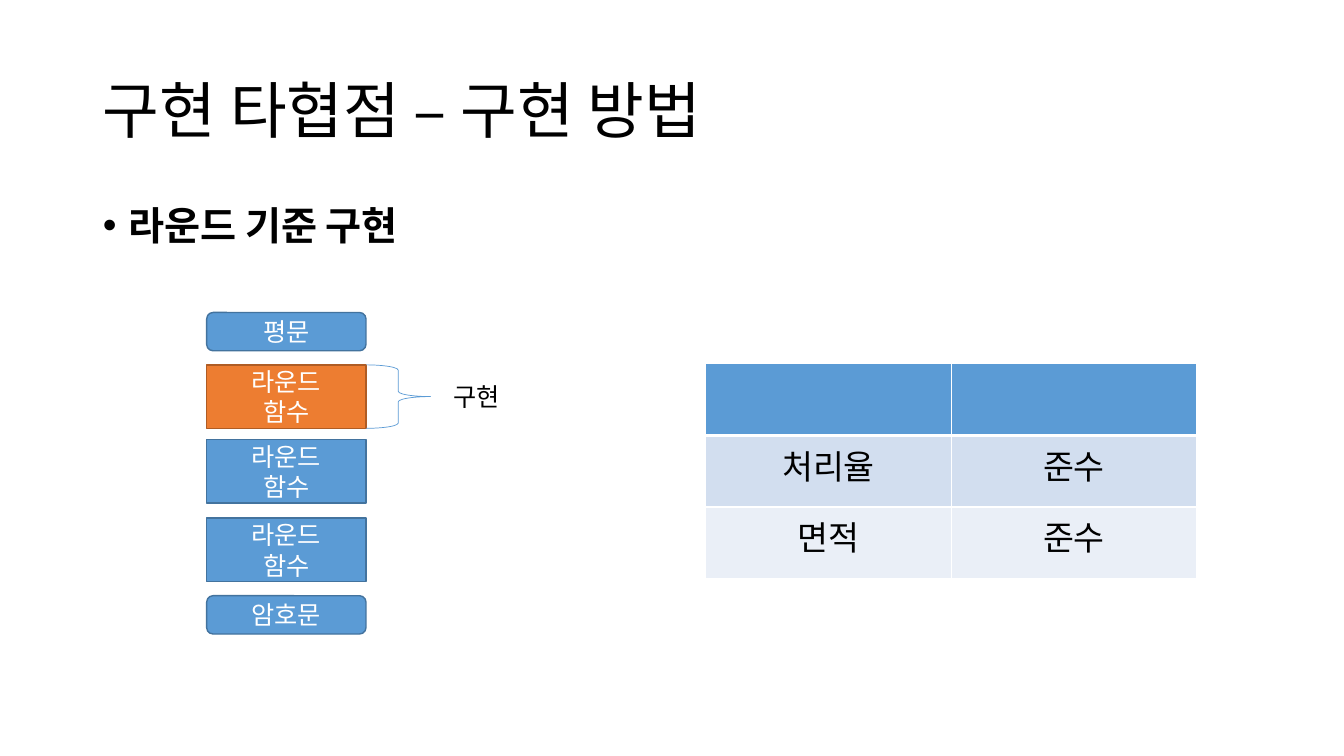
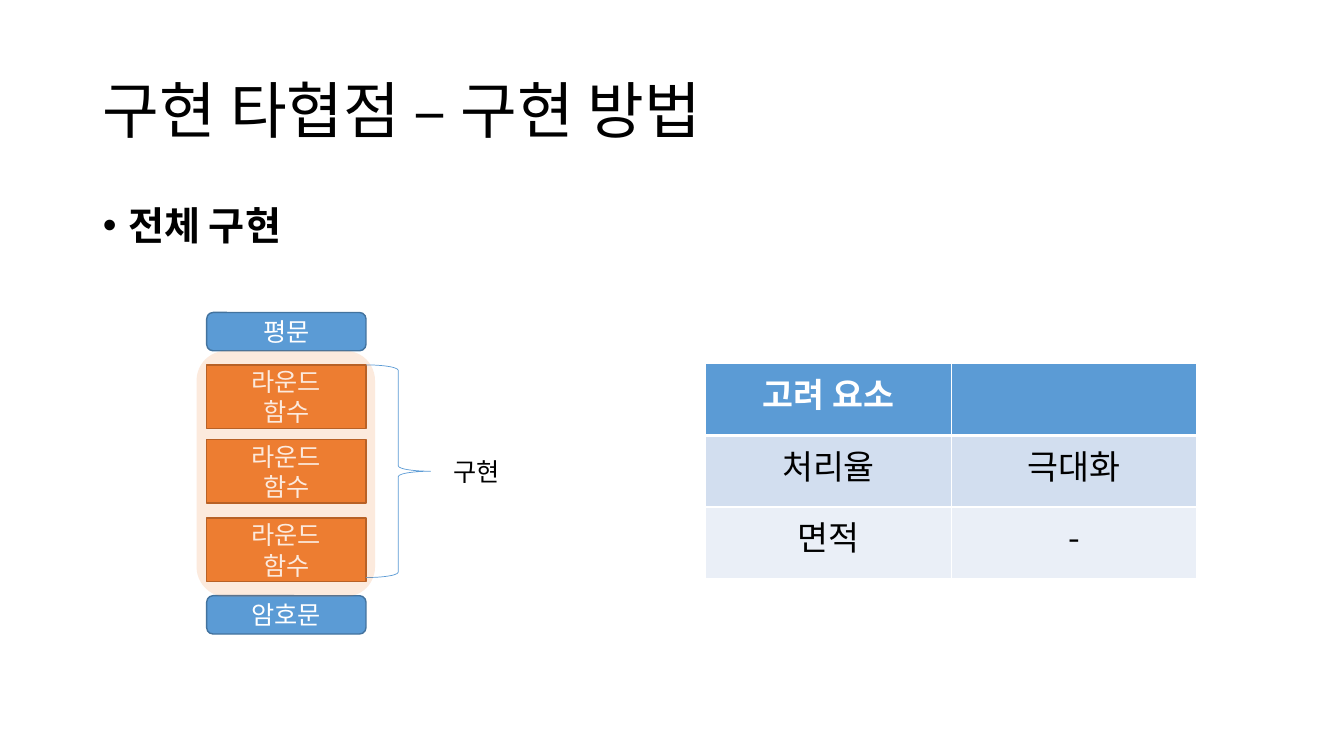
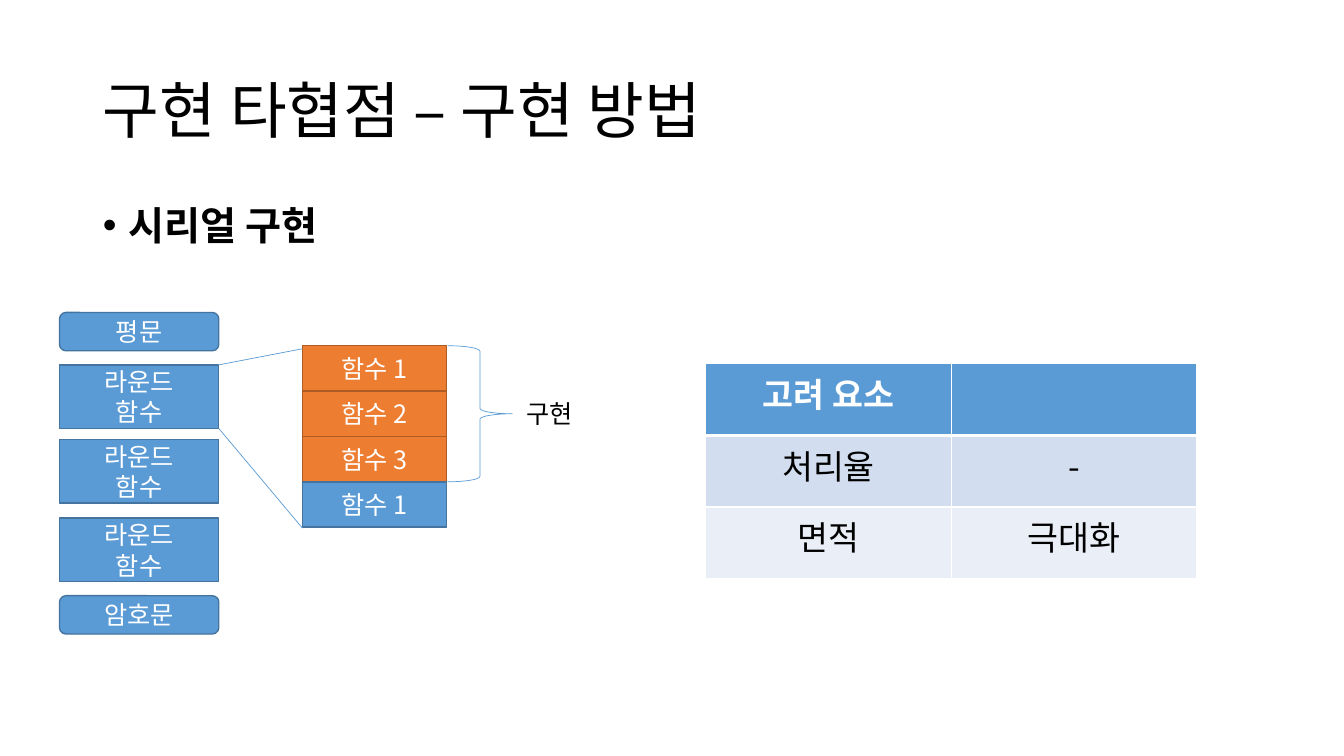
from dataclasses import dataclass

import pptx
import pptx.dml.color
import pptx.enum.shapes
import pptx.enum.text
import pptx.oxml.ns
import pptx.presentation
import pptx.shapes.autoshape
import pptx.slide
import pptx.table
import pptx.text.text
import pptx.util
from lxml import etree
from pptx.dml.color import RGBColor
from pptx.enum.shapes import MSO_SHAPE
from pptx.enum.text import MSO_ANCHOR, MSO_AUTO_SIZE, PP_ALIGN
from pptx.oxml.ns import qn
from pptx.util import Inches

# Shared style
FONT = "Noto Sans CJK KR"
BLACK = RGBColor(0x00, 0x00, 0x00)
WHITE = RGBColor(0xFF, 0xFF, 0xFF)
BLUE = RGBColor(0x5B, 0x9B, 0xD5)
BLUE_EDGE = RGBColor(0x43, 0x73, 0x9E)
ORANGE = RGBColor(0xED, 0x7D, 0x31)
ORANGE_EDGE = RGBColor(0xAF, 0x5C, 0x24)
ROW_FILLS = (BLUE, RGBColor(0xD2, 0xDE, 0xEF), RGBColor(0xEA, 0xEF, 0xF7))

TITLE = "구현 타협점 – 구현 방법"

# Cipher column, in inches
STEP_WIDTH = 1.58
END_HEIGHT = 0.38
PLAINTEXT_TOP = 3.1
CIPHERTEXT_TOP = 5.91
ROUND_TOPS = (3.62, 4.36, 5.14)
ROUND_HEIGHT = 0.63

# Functions inside one round, in inches
FUNCTIONS = ("함수 1", "함수 2", "함수 3", "함수 1")
FUNCTION_LEFT = 3.0
FUNCTION_TOP = 3.43
FUNCTION_WIDTH = 1.43
FUNCTION_HEIGHT = 0.45
IMPLEMENTED_FUNCTIONS = 3

BRACE_WIDTH = 0.64
LABEL_HEIGHT = 0.4


@dataclass(frozen=True)
class Box:
    left: float
    top: float
    width: float
    height: float

    def lengths(self) -> tuple[pptx.util.Length, ...]:
        return tuple(Inches(n) for n in (self.left, self.top, self.width, self.height))


@dataclass(frozen=True)
class Method:
    """One way to implement the cipher, shown on one slide."""
    name: str
    cipher_left: float
    implemented_rounds: int
    brace: Box
    label_left: float
    rows: tuple[tuple[str, str], ...]
    halo: Box | None = None
    shows_functions: bool = False


METHODS = (
    Method("라운드 기준 구현", 2.05, 1, Box(3.63, 3.62, BRACE_WIDTH, ROUND_HEIGHT), 4.4,
           (("", ""), ("처리율", "준수"), ("면적", "준수"))),
    Method("전체 구현", 2.05, 3, Box(3.63, 3.62, BRACE_WIDTH, 2.11), 4.4,
           (("고려 요소", ""), ("처리율", "극대화"), ("면적", "-")),
           halo=Box(1.95, 3.48, 1.77, 2.44)),
    Method("시리얼 구현", 0.59, 0,
           Box(4.44, FUNCTION_TOP, BRACE_WIDTH, IMPLEMENTED_FUNCTIONS * FUNCTION_HEIGHT), 5.12,
           (("고려 요소", ""), ("처리율", "-"), ("면적", "극대화")),
           shows_functions=True),
)


def style_paragraph(paragraph: pptx.text.text._Paragraph, size: float, color: RGBColor,
                    align: PP_ALIGN = PP_ALIGN.LEFT, bold: bool = False) -> None:
    paragraph.alignment = align
    font = paragraph.font
    font.size = pptx.util.Pt(size)
    font.bold = bold
    font.color.rgb = color
    font.name = FONT
    # Korean text takes the East Asian typeface
    defaults = paragraph._p.get_or_add_pPr().find(qn("a:defRPr"))
    etree.SubElement(defaults, qn("a:ea"), typeface=FONT)


def add_heading(slide: pptx.slide.Slide, method_name: str) -> None:
    title, body = slide.placeholders
    for holder, box, text in ((title, Box(0.92, 0.4, 11.5, 1.45), TITLE),
                              (body, Box(0.92, 2, 11.5, 4.76), method_name)):
        holder.left, holder.top, holder.width, holder.height = box.lengths()
        holder.text_frame.text = text
        holder.text_frame.auto_size = MSO_AUTO_SIZE.NONE
        paragraph = holder.text_frame.paragraphs[0]
        paragraph.line_spacing = 0.9
        paragraph.space_before = pptx.util.Pt(0)
    title.text_frame.vertical_anchor = MSO_ANCHOR.MIDDLE
    style_paragraph(title.text_frame.paragraphs[0], 44, BLACK)

    topic = body.text_frame.paragraphs[0]
    properties = topic._p.get_or_add_pPr()
    properties.set("marL", str(Inches(0.25)))
    properties.set("indent", str(-Inches(0.25)))
    etree.SubElement(properties, qn("a:buFont"), typeface="Arial")
    etree.SubElement(properties, qn("a:buChar"), char="•")
    style_paragraph(topic, 28, BLACK, bold=True)


def add_step(slide: pptx.slide.Slide, box: Box, text: str, implemented: bool = False,
             kind: MSO_SHAPE = MSO_SHAPE.RECTANGLE) -> None:
    step = slide.shapes.add_shape(kind, *box.lengths())
    step.shadow.inherit = False
    step.fill.solid()
    step.fill.fore_color.rgb = ORANGE if implemented else BLUE
    step.line.color.rgb = ORANGE_EDGE if implemented else BLUE_EDGE
    step.line.width = pptx.util.Pt(1)
    step.text_frame.text = text
    step.text_frame.vertical_anchor = MSO_ANCHOR.MIDDLE
    for paragraph in step.text_frame.paragraphs:
        style_paragraph(paragraph, 18, WHITE, PP_ALIGN.CENTER)


def add_cipher(slide: pptx.slide.Slide, left: float, implemented_rounds: int) -> None:
    for top, text in ((PLAINTEXT_TOP, "평문"), (CIPHERTEXT_TOP, "암호문")):
        add_step(slide, Box(left, top, STEP_WIDTH, END_HEIGHT), text,
                 kind=MSO_SHAPE.ROUNDED_RECTANGLE)
    for index, top in enumerate(ROUND_TOPS):
        add_step(slide, Box(left, top, STEP_WIDTH, ROUND_HEIGHT), "라운드\n함수",
                 index < implemented_rounds)


def add_functions(slide: pptx.slide.Slide, cipher_left: float) -> None:
    for index, text in enumerate(FUNCTIONS):
        top = FUNCTION_TOP + index * FUNCTION_HEIGHT
        add_step(slide, Box(FUNCTION_LEFT, top, FUNCTION_WIDTH, FUNCTION_HEIGHT), text,
                 index < IMPLEMENTED_FUNCTIONS)

    # Lines that open the first round into its functions
    round_right = cipher_left + STEP_WIDTH
    round_top = ROUND_TOPS[0]
    for start, end in ((round_top, 3.46), (round_top + ROUND_HEIGHT, 5.24)):
        zoom_line = slide.shapes.add_connector(
            pptx.enum.shapes.MSO_CONNECTOR.STRAIGHT,
            Inches(round_right), Inches(start), Inches(FUNCTION_LEFT), Inches(end))
        zoom_line.line.color.rgb = BLUE
        zoom_line.line.width = pptx.util.Pt(0.5)
        etree.SubElement(zoom_line._element.spPr, qn("a:effectLst"))


def add_brace(slide: pptx.slide.Slide, box: Box, label_left: float) -> None:
    brace = slide.shapes.add_shape(MSO_SHAPE.RIGHT_BRACE, *box.lengths())
    brace.shadow.inherit = False
    brace.fill.background()
    brace.line.color.rgb = BLUE
    brace.line.width = pptx.util.Pt(0.5)

    label_top = box.top + (box.height - LABEL_HEIGHT) / 2
    label = slide.shapes.add_textbox(*Box(label_left, label_top, 0.71, LABEL_HEIGHT).lengths())
    label.text_frame.word_wrap = True
    label.text_frame.auto_size = MSO_AUTO_SIZE.SHAPE_TO_FIT_TEXT
    label.text_frame.text = "구현"
    style_paragraph(label.text_frame.paragraphs[0], 18, BLACK)


def add_halo(slide: pptx.slide.Slide, box: Box) -> None:
    halo = slide.shapes.add_shape(MSO_SHAPE.ROUNDED_RECTANGLE, *box.lengths())
    halo.shadow.inherit = False
    halo.fill.solid()
    halo.fill.fore_color.rgb = ORANGE
    halo.line.fill.background()
    tint = halo._element.spPr.find(qn("a:solidFill")).find(qn("a:srgbClr"))
    etree.SubElement(tint, qn("a:alpha"), val="16000")


def set_borders(cell: pptx.table._Cell, top: float, bottom: float) -> None:
    properties = cell._tc.get_or_add_tcPr()
    for side, width in (("lnL", 1), ("lnR", 1), ("lnT", top), ("lnB", bottom)):
        border = etree.SubElement(properties, qn(f"a:{side}"), w=str(pptx.util.Pt(width)))
        fill = etree.SubElement(border, qn("a:solidFill"))
        etree.SubElement(fill, qn("a:srgbClr"), val=str(WHITE))


def add_factors(slide: pptx.slide.Slide, rows: tuple[tuple[str, str], ...]) -> None:
    factors = slide.shapes.add_table(
        len(rows), len(rows[0]), *Box(7, 3.61, 4.87, 2.13).lengths()).table
    for row, texts in enumerate(rows):
        header = row == 0
        for column, text in enumerate(texts):
            cell = factors.cell(row, column)
            set_borders(cell, top=3 if row == 1 else 1, bottom=3 if header else 1)
            cell.fill.solid()
            cell.fill.fore_color.rgb = ROW_FILLS[row]
            cell.text = text
            style_paragraph(cell.text_frame.paragraphs[0], 24, WHITE if header else BLACK,
                            PP_ALIGN.CENTER, bold=header)


def add_method(deck: pptx.presentation.Presentation, method: Method) -> None:
    slide = deck.slides.add_slide(deck.slide_layouts[1])
    add_heading(slide, method.name)
    add_cipher(slide, method.cipher_left, method.implemented_rounds)
    if method.shows_functions:
        add_functions(slide, method.cipher_left)
    add_brace(slide, method.brace, method.label_left)
    add_factors(slide, method.rows)
    if method.halo:
        add_halo(slide, method.halo)


def main() -> None:
    deck = pptx.Presentation()
    deck.slide_width = Inches(13.33)
    deck.slide_height = Inches(7.5)
    for method in METHODS:
        add_method(deck, method)
    deck.save("out.pptx")


if __name__ == "__main__":
    main()
